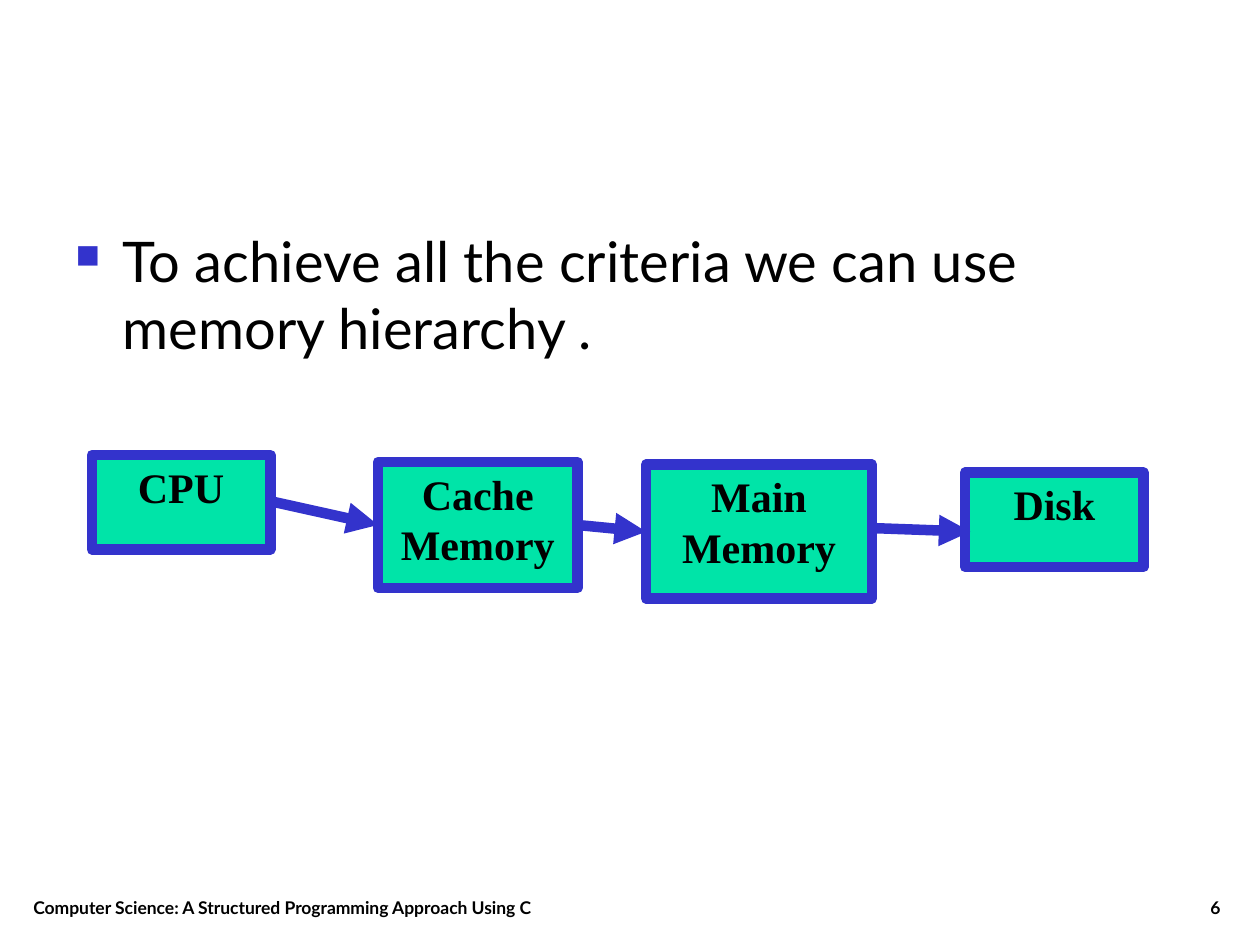
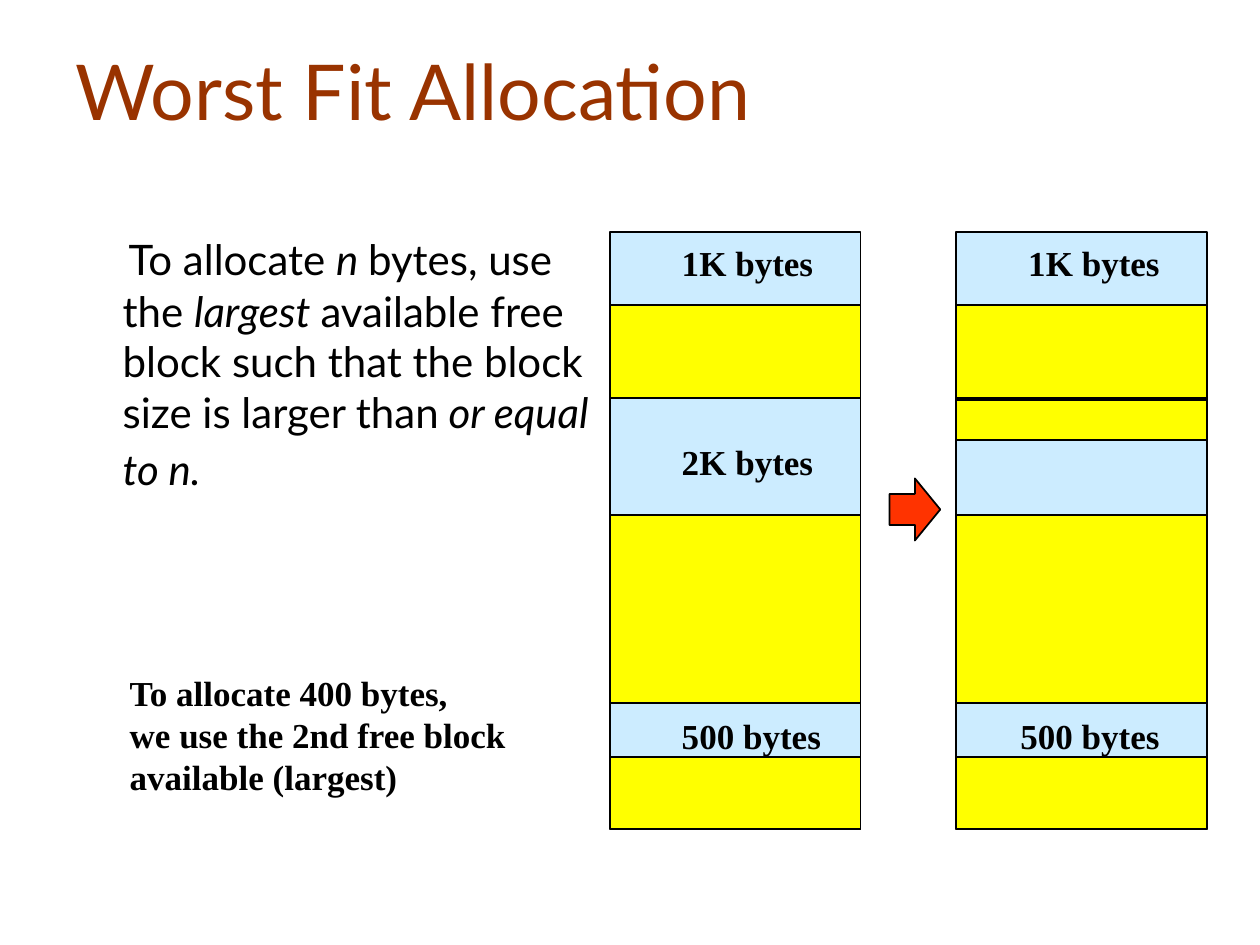
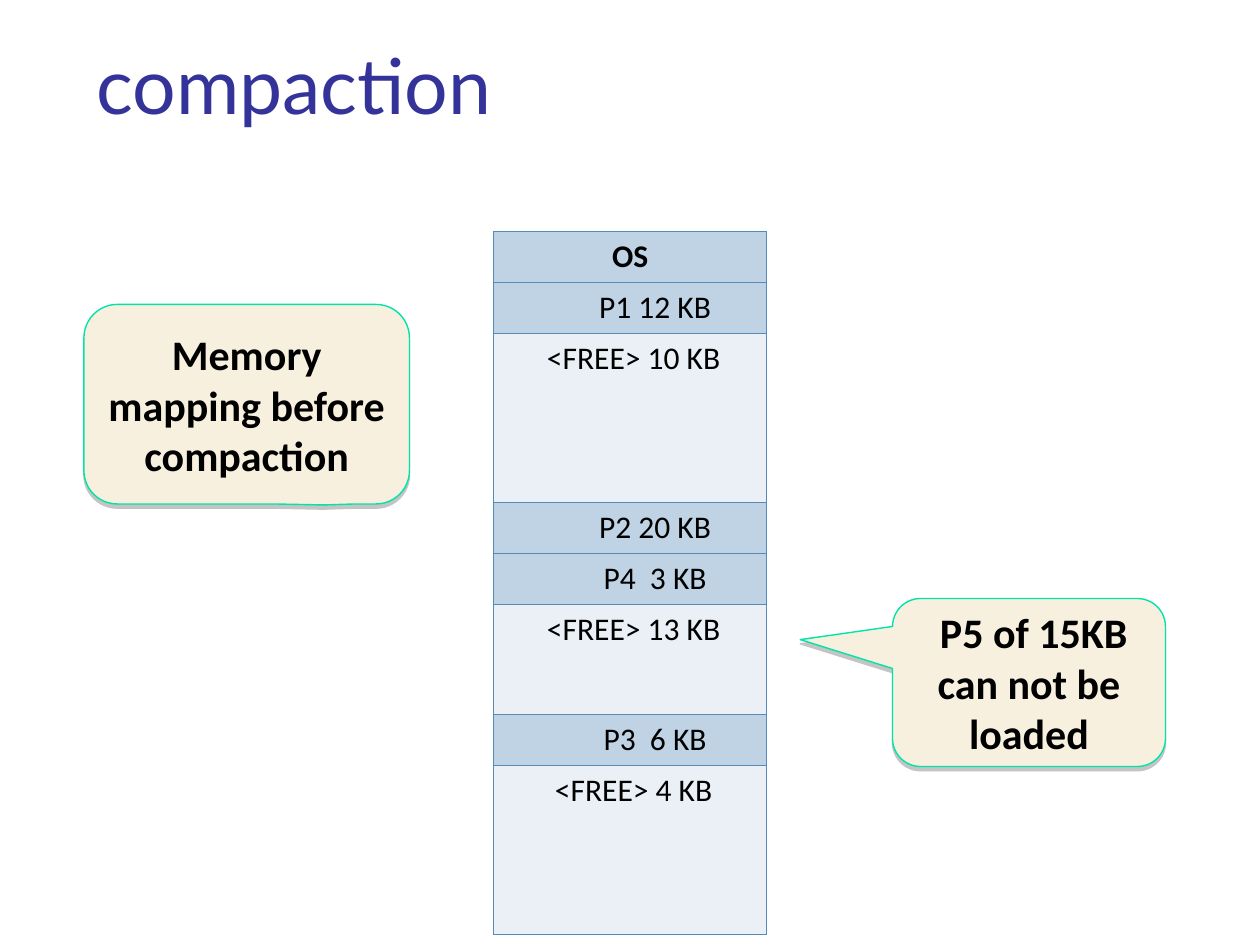
from lxml import etree
from pptx import Presentation
from pptx import util as u
from pptx.dml.color import RGBColor
from pptx.enum import shapes, text
from pptx.oxml.ns import qn

COLORS = {
    "text": "000000", "blue": "3333CC", "mint": "00E4A8", "rust": "993300",
    "navy": "333399", "free": "CCECFF", "used": "FFFF00", "arrow": "FF3300",
    "row_used": "BFD3E4", "row_free": "EAF0F6", "border": "558BB8",
    "cream": "F7F0DE", "shadow": "808080",
}
LATO, TIMES, CALIBRI = "Lato", "Times New Roman", "Calibri"
ALIGN = {"l": text.PP_ALIGN.LEFT, "c": text.PP_ALIGN.CENTER, "r": text.PP_ALIGN.RIGHT}
SHAPE = shapes.MSO_SHAPE


def rgb(name):
    return RGBColor.from_string(COLORS[name])


def pts(*values):
    return [u.Pt(v) for v in values]


def child(parent, tag, **attrs):
    return etree.SubElement(parent, qn(tag), {k: str(v) for k, v in attrs.items()})


def add_run(p, content, font=LATO, size=24, color="text", bold=False, italic=False):
    r = p.add_run()
    r.text = content
    r.font.name, r.font.size = font, u.Pt(size)
    r.font.bold, r.font.italic = bold, italic
    r.font.color.rgb = rgb(color)


def write(tf, content, align="l", anchor=text.MSO_ANCHOR.TOP, **fmt):
    """Fill a text frame, one paragraph per line of content."""
    tf.word_wrap = True
    tf.vertical_anchor = anchor
    for i, line in enumerate(content.split("\n")):
        p = tf.add_paragraph() if i else tf.paragraphs[0]
        p.alignment = ALIGN[align]
        add_run(p, line, **fmt)


def add_text(s, box, content="", **fmt):
    tf = s.shapes.add_textbox(*pts(*box)).text_frame
    tf.word_wrap = True
    if content:
        write(tf, content, **fmt)
    return tf


def add_label(s, box, content):
    """Bold serif text that sizes its own box."""
    tf = add_text(s, box, content, font=TIMES, size=20, bold=True)
    tf.word_wrap = False
    tf.auto_size = text.MSO_AUTO_SIZE.SHAPE_TO_FIT_TEXT


def add_shape(s, kind, box, fill, line="text", width=1):
    sp = s.shapes.add_shape(kind, *pts(*box))
    sp.shadow.inherit = False
    sp.fill.solid()
    sp.fill.fore_color.rgb = rgb(fill)
    sp.line.color.rgb = rgb(line)
    sp.line.width = u.Pt(width)
    return sp


def add_title(s, box, content, color):
    add_text(s, box, content, size=44, color=color)


def add_footer(s, number):
    style = dict(size=10, bold=True, anchor=text.MSO_ANCHOR.BOTTOM)
    add_text(s, (12, 492, 408, 36),
             "Computer Science: A Structured Programming Approach Using C", **style)
    add_text(s, (554.5, 492, 150, 36), str(number), align="r", **style)


def add_arrow(s, start, end):
    cn = s.shapes.add_connector(shapes.MSO_CONNECTOR.STRAIGHT, *pts(*start, *end))
    cn.line.color.rgb = rgb("blue")
    cn.line.width = u.Pt(6)
    child(cn.line._get_or_add_ln(), "a:tailEnd", type="triangle")
    child(cn._element.spPr, "a:effectLst")


def indent(p, left, first):
    pPr = p._p.get_or_add_pPr()
    pPr.set("marL", str(u.Pt(left)))
    pPr.set("indent", str(u.Pt(first)))
    return pPr


def add_bullet(p):
    pPr = indent(p, 27, -27)
    child(child(pPr, "a:buClr"), "a:srgbClr", val=COLORS["blue"])
    child(pPr, "a:buSzPct", val=60000)
    child(pPr, "a:buChar", char="■")


def add_memory_column(s, left, used, labels):
    """Draw free memory with used blocks (top, height) and labels (dx, top, text)."""
    width = 143.3
    add_shape(s, SHAPE.RECTANGLE, (left, 132.5, width, 341.3), "free")
    for top, height in used:
        add_shape(s, SHAPE.RECTANGLE, (left, top, width, height), "used")
    for dx, top, content in labels:
        add_label(s, (left + dx, top, 94, 31), content)


def add_callout(s, box, content, tip):
    sp = add_shape(s, SHAPE.ROUNDED_RECTANGULAR_CALLOUT, box, "cream", "mint", 0.79)
    for i, value in enumerate((*tip, 0.167)):
        sp.adjustments[i] = value
    effects = sp._element.spPr.find(qn("a:effectLst"))
    shadow = child(effects, "a:outerShdw", blurRad=0, dist=u.Pt(2.4), dir=5400000,
                   rotWithShape=0)
    child(child(shadow, "a:srgbClr", val=COLORS["shadow"]), "a:alpha", val=45000)
    write(sp.text_frame, content, align="c", anchor=text.MSO_ANCHOR.MIDDLE,
          font=CALIBRI, bold=True)


def set_border(cell, side, visible):
    ln = child(cell._tc.get_or_add_tcPr(), f"a:ln{side}", w=u.Pt(0.45))
    if visible:
        child(child(ln, "a:solidFill"), "a:srgbClr", val=COLORS["border"])
    else:
        child(ln, "a:noFill")


def add_memory_map(s, left, top, width, blocks):
    """Draw blocks (text, number of rows); blocks of several rows are free."""
    rows = [(content if i == 0 else "", i == 0, i == n - 1, n > 1)
            for content, n in blocks for i in range(n)]
    heights = [29.2 if first else 33.7 for _, first, _, _ in rows]
    table = s.shapes.add_table(len(rows), 1, *pts(left, top, width, sum(heights))).table
    table.first_row = table.horz_banding = False
    for i, (content, first, last, free) in enumerate(rows):
        table.rows[i].height = u.Pt(heights[i])
        cell = table.cell(i, 0)
        for side, visible in (("L", True), ("R", True), ("T", first), ("B", last)):
            set_border(cell, side, visible)
        cell.fill.solid()
        cell.fill.fore_color.rgb = rgb("row_free" if free else "row_used")
        if content:
            shift = 0 if content == "OS" else 4 if free else 28.5
            cell.margin_left = u.Pt(7.2 + shift)
            p = cell.text_frame.paragraphs[0]
            p.alignment = ALIGN["c"]
            add_run(p, content, font=CALIBRI, size=18, bold=content == "OS")


def hierarchy_slide(s):
    tf = add_text(s, (36, 126, 648, 356.4),
                  "To achieve all the criteria we can use memory hierarchy .", size=32)
    add_bullet(tf.paragraphs[0])
    add_footer(s, 6)
    for content, box in (
        ("CPU", (52.5, 260, 102, 54)),
        ("Cache Memory", (216, 264, 114, 72)),
        ("Main Memory", (369.2, 265.5, 129, 76.5)),
        ("Disk", (551.5, 270, 102, 54)),
    ):
        sp = add_shape(s, SHAPE.RECTANGLE, box, "mint", "blue", 6)
        write(sp.text_frame, content, align="c", font=TIMES, bold=True)
    for start, end in (
        ((155, 286.5), (216, 300)),
        ((330, 300), (369.2, 303.8)),
        ((499, 301.8), (554.5, 303.8)),
    ):
        add_arrow(s, start, end)


def worst_fit_slide(s):
    add_title(s, (36, 21.6, 648, 90), "Worst Fit Allocation", "rust")
    p = add_text(s, (36, 126, 318.2, 356.4)).paragraphs[0]
    indent(p, 27, -3.7)
    for content, size, italic in (
        (" ", 28, False),
        ("To allocate ", 24, False),
        ("n ", 24, True),
        ("bytes, use the ", 24, False),
        ("largest ", 24, True),
        ("available free block such that the block size is larger than", 24, False),
        (" or equal to n.", 24, True),
        (" ", 28, True),
    ):
        add_run(p, content, size=size, italic=italic)
    add_label(s, (67, 380.2, 229.7, 79.2),
              "To allocate 400 bytes,\nwe use the 2nd free block\navailable (largest)")
    used = [(174.2, 53.3), (294.5, 107.3), (432.7, 41)]
    add_memory_column(s, 348.5, used, [
        (34, 134.6, "1K bytes"), (34, 248.4, "2K bytes"), (34, 404.6, "500 bytes")])
    add_shape(s, SHAPE.RIGHT_ARROW, (508.3, 273.4, 29, 35.5), "arrow")
    add_memory_column(s, 546.5, used + [(228.5, 23)], [
        (34, 134.6, "1K bytes"), (29.5, 404.6, "500 bytes")])


def compaction_slide(s):
    add_title(s, (48, 18, 642, 78), "compaction", "navy")
    add_memory_map(s, 282, 132, 156.2, [
        ("OS", 1), ("P1 12 KB", 1), ("<FREE> 10 KB", 3), ("P2 20 KB", 1),
        ("P4  3 KB", 1), ("<FREE> 13 KB", 2), ("P3  6 KB", 1), ("<FREE> 4 KB", 3)])
    add_callout(s, (48, 174, 186, 114), "Memory mapping before compaction", (0.236, 0.505))
    add_callout(s, (510, 342, 156, 96), " P5 of 15KB can not be loaded", (-0.838, -0.255))


def main():
    prs = Presentation()
    prs.slide_width, prs.slide_height = pts(720, 540)
    for build in (hierarchy_slide, worst_fit_slide, compaction_slide):
        build(prs.slides.add_slide(prs.slide_layouts[6]))
    prs.save("out.pptx")


if __name__ == "__main__":
    main()
